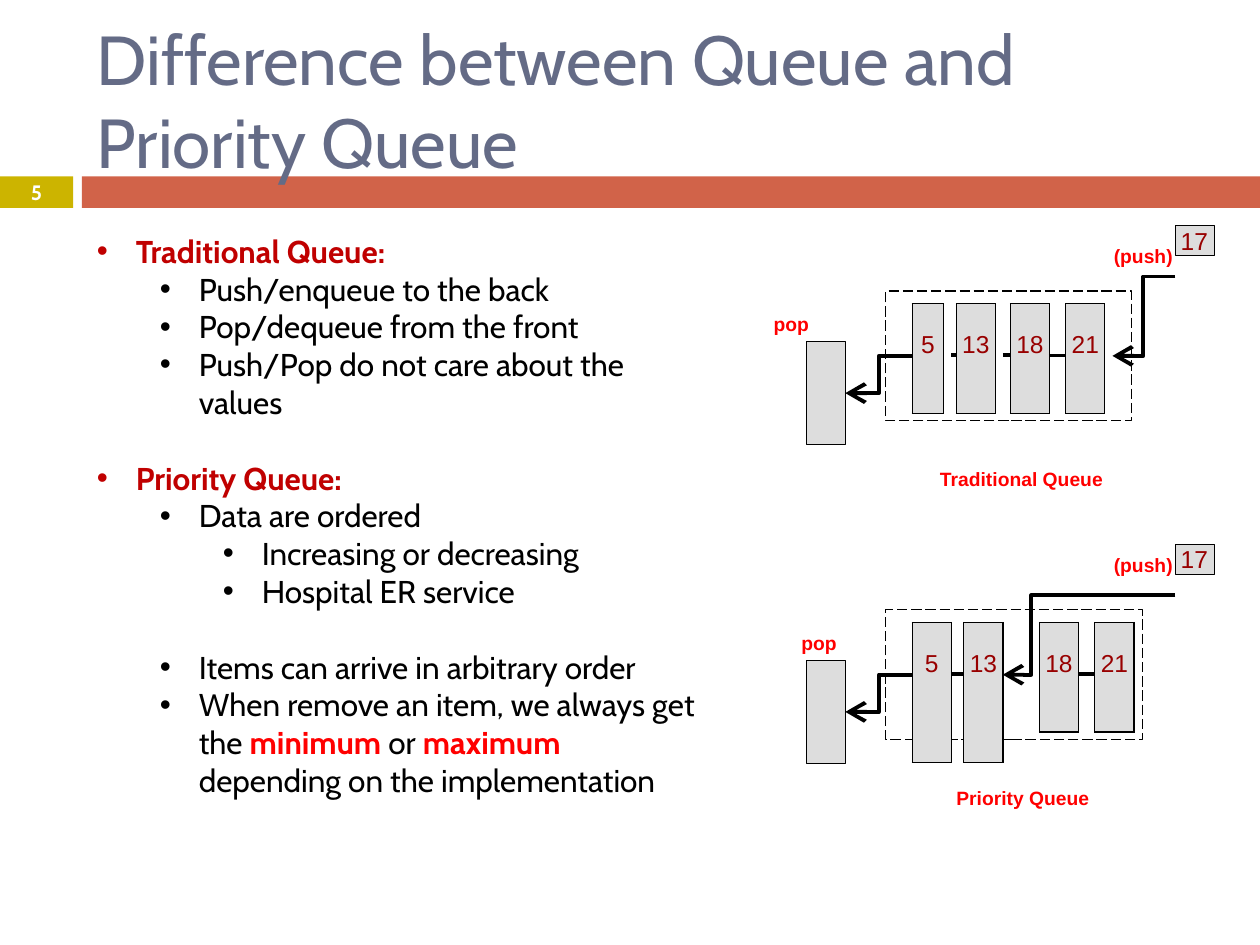
from lxml import etree
from pptx import Presentation
from pptx.dml.color import RGBColor
from pptx.enum.dml import MSO_LINE
from pptx.enum.shapes import MSO_CONNECTOR, MSO_SHAPE
from pptx.enum.text import MSO_ANCHOR, PP_ALIGN
from pptx.oxml.ns import qn
from pptx.util import Inches, Pt

RECTANGLE = MSO_SHAPE.RECTANGLE
STRAIGHT, ELBOW = MSO_CONNECTOR.STRAIGHT, MSO_CONNECTOR.ELBOW
LONG_DASH = MSO_LINE.LONG_DASH
TOP, MIDDLE = MSO_ANCHOR.TOP, MSO_ANCHOR.MIDDLE
LEFT, CENTER = PP_ALIGN.LEFT, PP_ALIGN.CENTER

COLORS = {
    "title": "646B86", "gold": "CCB400", "bar": "D16349", "white": "FFFFFF",
    "black": "000000", "heading": "C00000", "accent": "FF0000",
    "item": "DDDDDD", "value": "980000",
}
SLIDE_WIDTH, SLIDE_HEIGHT = Inches(10), Inches(7.5)
COLUMNS, ROWS = 100, 75
THIN, THICK = 0.75, 2.25


def across(columns):
    return round(SLIDE_WIDTH * columns / COLUMNS)


def down(rows):
    return round(SLIDE_HEIGHT * rows / ROWS)


def color(name):
    return RGBColor.from_string(COLORS[name])


def write(paragraph, text, size=18, font="Cabin", ink="black", bold=False, align=LEFT):
    paragraph.alignment = align
    run = paragraph.add_run()
    run.text = text
    run.font.size = Pt(size)
    run.font.name = font
    run.font.bold = bold
    run.font.color.rgb = color(ink)


class SlideBuilder:
    label_style = {"size": 11, "font": "Arial", "ink": "accent", "bold": True}
    value_style = {"size": 14, "font": "Arial", "ink": "value"}
    indent, step = 3.1, 5
    blank_line = Pt(21.6)

    def __init__(self, slide):
        self.slide = slide

    def box(self, left, top, width, height, fill=None, line=None, dash=None):
        shape = self.slide.shapes.add_shape(
            RECTANGLE, across(left), down(top), across(width), down(height))
        shape.shadow.inherit = False
        if fill:
            shape.fill.solid()
            shape.fill.fore_color.rgb = color(fill)
        else:
            shape.fill.background()
        if line:
            shape.line.color.rgb = color(line)
            shape.line.width = Pt(THIN)
            shape.line.dash_style = dash
        else:
            shape.line.fill.background()
        return shape

    def frame(self, shape, anchor=TOP, inset=0, wrap=True):
        frame = shape.text_frame
        frame.word_wrap = wrap
        frame.vertical_anchor = anchor
        frame.margin_left = frame.margin_right = across(inset)
        frame.margin_top = frame.margin_bottom = down(inset / 2)
        return frame

    def text_box(self, left, top, width, height, **layout):
        shape = self.slide.shapes.add_textbox(
            across(left), down(top), across(width), down(height))
        return self.frame(shape, **layout)

    def label(self, text, left, top, width):
        frame = self.text_box(left + 0.1, top, width, 1.9)
        write(frame.paragraphs[0], text, **self.label_style)

    def connector(self, start, end, bend=None):
        kind = STRAIGHT if bend is None else ELBOW
        line = self.slide.shapes.add_connector(
            kind, across(start[0]), down(start[1]), across(end[0]), down(end[1]))
        line.line.color.rgb = color("black")
        line.line.width = Pt(THICK)
        properties = line._element.spPr
        etree.SubElement(properties, qn("a:effectLst"))
        if bend is not None:
            share = round(100000 * (bend - start[0]) / (end[0] - start[0]))
            guides = properties.find(qn("a:prstGeom")).get_or_add_avLst()
            etree.SubElement(guides, qn("a:gd"), name="adj1", fmla=f"val {share}")
            etree.SubElement(line.line._get_or_add_ln(), qn("a:tailEnd"),
                             type="arrow", w="lg", len="lg")

    def borders(self, cell, left=THIN, right=THIN, top=0, bottom=0):
        properties = cell._tc.get_or_add_tcPr()
        sides = {"L": left, "R": right, "T": top, "B": bottom}
        for index, (side, width) in enumerate(sides.items()):
            line = etree.Element(qn(f"a:ln{side}"), w=str(Pt(width)))
            if width:
                fill = etree.SubElement(line, qn("a:solidFill"))
                etree.SubElement(fill, qn("a:srgbClr"), val=COLORS["black"])
            else:
                etree.SubElement(line, qn("a:noFill"))
            properties.insert(index, line)

    def items(self, left, top, widths, heights, values):
        table = self.slide.shapes.add_table(
            2, len(widths), across(left), down(top),
            across(sum(widths)), down(sum(heights))).table
        table.first_row = table.horz_banding = False
        for row, height in zip(table.rows, heights):
            row.height = down(height)
        for index, width in enumerate(widths):
            table.columns[index].width = across(width)
            upper, lower = table.cell(0, index), table.cell(1, index)
            is_item = index % 2 == 0
            is_link = index == len(widths) - 2
            for cell in (upper, lower):
                cell.margin_left = cell.margin_right = cell.margin_bottom = 0
                cell.margin_top = down(2.2) if is_item else 0
                if is_item:
                    cell.fill.solid()
                    cell.fill.fore_color.rgb = color("item")
                    self.borders(cell, top=THIN, bottom=THIN)
                else:
                    cell.fill.background()
                    self.borders(cell, top=THICK if is_link and cell is lower else 0,
                                 bottom=THICK if is_link and cell is upper else 0)
            if not is_link:
                upper.merge(lower)
            if is_item:
                write(upper.text_frame.paragraphs[0], values[index // 2],
                      align=CENTER, **self.value_style)

    def queue(self, name, top, frame_width, target, bend, push_top, pop_left, name_left, tables):
        self.box(70.3, top + 5.2, frame_width, 10.3, line="black", dash=LONG_DASH)
        pushed = self.frame(self.box(93.3, top, 3.1, 2.4, fill="item", line="black"))
        pushed.margin_left = across(0.4)
        write(pushed.paragraphs[0], "17", **self.value_style)
        self.box(64, top + 9.2, 3.1, 8.2, fill="item", line="black")
        self.connector((93.3, top + 4.05), (target, top + 10.35), bend)
        self.connector((72.5, top + 10.35), (67.1, top + 13.3), 69.75)
        self.label("(push)", 88.3, push_top, 5)
        self.label("pop", pop_left, top + 6.9, 4.1)
        self.label(name, name_left, top + 19.2, 13.5)
        for left, widths, heights, values in tables:
            self.items(left, top + 6.2, widths, heights, values)

    def bullets(self, left, top, width, height, entries):
        frame = self.text_box(left, top, width, height, inset=1)
        for index, (level, gap_after, runs) in enumerate(entries):
            paragraph = frame.add_paragraph() if index else frame.paragraphs[0]
            paragraph.level = level
            paragraph.space_after = self.blank_line if gap_after else Pt(0)
            properties = paragraph._p.get_or_add_pPr()
            properties.set("marL", str(across(self.indent + self.step * level)))
            properties.set("indent", str(-across(self.indent)))
            etree.SubElement(properties, qn("a:buFont"), typeface="Arial")
            etree.SubElement(properties, qn("a:buChar"), char="•")
            for text, ink in runs:
                write(paragraph, text, ink=ink, bold=ink != "black")


presentation = Presentation()
presentation.slide_width, presentation.slide_height = SLIDE_WIDTH, SLIDE_HEIGHT
builder = SlideBuilder(presentation.slides.add_slide(presentation.slide_layouts[6]))

builder.box(0, 14, 5.8, 2.5, fill="gold")
builder.box(6.5, 14, 93.5, 2.5, fill="bar")
title = builder.text_box(6.7, 2.5, 89.2, 10.8, anchor=MIDDLE, inset=1)
write(title.paragraphs[0], "Difference between Queue and Priority Queue", size=39.6, ink="title")
number = builder.text_box(0, 13.9, 5.8, 2.7, anchor=MIDDLE)
write(number.paragraphs[0], "5", size=11.9, ink="white", bold=True, align=CENTER)

for link_left, link_right in ((75.5, 76.5), (79.6, 80.8)):
    builder.connector((link_left, 28.2), (link_right, 28.2))

builder.queue(
    "Traditional Queue", 17.9, 19.5, 88.3, 90.75, 19.4, 61.3, 74.5,
    [(72.4, (2.5, 1, 3.1, 1.2, 3.1, 1.3, 3.1), (4.1, 4.6), ("5", "13", "18", "21"))])
builder.queue(
    "Priority Queue", 43.2, 20.4, 79.6, 81.85, 43.9, 63.5, 75.8,
    [(72.4, (3.1, 1, 3.1), (4.1, 7), ("5", "13")),
     (82.5, (3.1, 1.3, 3.1), (4.1, 4.6), ("18", "21"))])

builder.bullets(6.7, 17.9, 50.4, 43.4, [
    (0, False, [("Traditional Queue:", "heading")]),
    (1, False, [("Push/enqueue to the back", "black")]),
    (1, False, [("Pop/dequeue from the front", "black")]),
    (1, True, [("Push/Pop do not care about the values", "black")]),
    (0, False, [("Priority Queue:", "heading")]),
    (1, False, [("Data are ordered", "black")]),
    (2, False, [("Increasing or decreasing", "black")]),
    (2, True, [("Hospital ER service", "black")]),
    (1, False, [("Items can arrive in arbitrary order", "black")]),
    (1, False, [("When remove an item, we always get the ", "black"),
                ("minimum ", "accent"), ("or ", "black"), ("maximum", "accent"),
                (" depending on the implementation", "black")]),
])

presentation.save("out.pptx")
